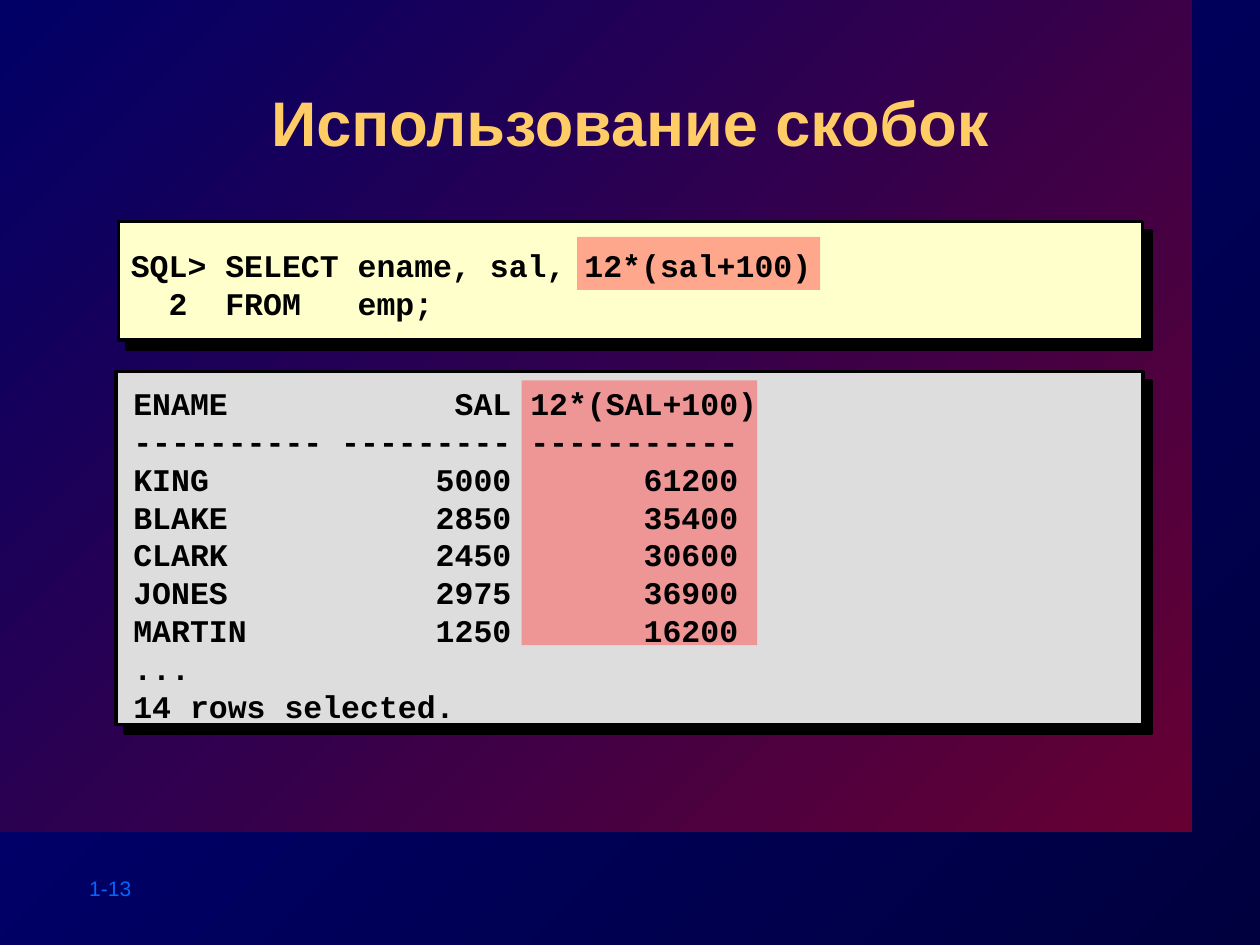
from dataclasses import dataclass

from lxml import etree
from pptx import Presentation
from pptx import util as u
from pptx.dml.color import RGBColor
from pptx.enum import shapes, text
from pptx.oxml.ns import qn

BLACK = RGBColor(0x00, 0x00, 0x00)
GOLD = RGBColor(0xFF, 0xCC, 0x66)
BLUE = RGBColor(0x00, 0x66, 0xFF)
CREAM = RGBColor(0xFF, 0xFF, 0xCC)
GRAY = RGBColor(0xDD, 0xDD, 0xDD)
RED = RGBColor(0xFF, 0x50, 0x50)
NIGHT = RGBColor(0x00, 0x00, 0x3F)
NAVY = RGBColor(0x00, 0x00, 0x80)
WINE = RGBColor(0x66, 0x00, 0x33)
INDIGO = RGBColor(0x00, 0x00, 0x66)

QUERY = ["SQL> SELECT ename, sal, 12*(sal+100)", "  2  FROM   emp;"]
EMPLOYEES = [
    ("KING", 5000, 61200),
    ("BLAKE", 2850, 35400),
    ("CLARK", 2450, 30600),
    ("JONES", 2975, 36900),
    ("MARTIN", 1250, 16200),
]
RESULT = [
    "ENAME            SAL 12*(SAL+100)",
    "---------- --------- -----------",
    *(f"{name:<10} {salary:>9} {total:>11}" for name, salary, total in EMPLOYEES),
    "...",
    "14 rows selected.",
]


@dataclass(frozen=True)
class Box:
    left: float
    top: float
    width: float
    height: float

    def lengths(self) -> list[u.Length]:
        return [u.Inches(n) for n in (self.left, self.top, self.width, self.height)]


@dataclass(frozen=True)
class Style:
    font: str
    size: float
    color: RGBColor
    bold: bool = True
    line_height: float | None = None


TITLE = Style("Arial", 36, GOLD)
FOOTER = Style("Arial", 12, BLUE, bold=False)
CODE = Style("Courier New", 18, BLACK, line_height=21.6)


def set_gradient(fill, start: RGBColor, end: RGBColor) -> None:
    """Run a gradient from the lower right corner to the upper left."""
    fill.gradient()
    fill.gradient_angle = 135
    for stop, position, color in zip(fill.gradient_stops, (0, 1), (start, end)):
        stop.position = position
        stop.color.rgb = color


def add_hard_shadow(effects, distance: float) -> None:
    shadow = etree.SubElement(effects, qn("a:outerShdw"), blurRad="0",
                              dist=str(u.Pt(distance)), dir="2700000",
                              algn="ctr", rotWithShape="0")
    etree.SubElement(shadow, qn("a:srgbClr"), val=str(BLACK))


def add_rectangle(slide, box: Box):
    shape = slide.shapes.add_shape(shapes.MSO_SHAPE.RECTANGLE, *box.lengths())
    shape.shadow.inherit = False
    shape.line.fill.background()
    return shape


def add_panel(slide, box: Box, color: RGBColor) -> None:
    shape = add_rectangle(slide, box)
    shape.fill.solid()
    shape.fill.fore_color.rgb = color
    shape.line.color.rgb = BLACK
    shape.line.width = u.Pt(2)
    add_hard_shadow(shape._element.spPr.find(qn("a:effectLst")), 7.1)


def add_highlight(slide, box: Box) -> None:
    shape = add_rectangle(slide, box)
    shape.fill.solid()
    shape.fill.fore_color.rgb = RED
    color = shape._element.spPr.find(f"{qn('a:solidFill')}/{qn('a:srgbClr')}")
    etree.SubElement(color, qn("a:alpha"), val="50000")


def add_text(slide, box: Box, lines: list[str], style: Style, inset_top: float,
             anchor=text.MSO_ANCHOR.TOP, align=text.PP_ALIGN.LEFT) -> list:
    """Write one paragraph per line and return the runs."""
    frame = slide.shapes.add_textbox(*box.lengths()).text_frame
    frame.word_wrap = True
    frame.vertical_anchor = anchor
    frame.margin_top = u.Inches(inset_top)
    frame.margin_bottom = u.Inches(0.1 - inset_top)
    runs = []
    for index, line in enumerate(lines):
        paragraph = frame.add_paragraph() if index else frame.paragraphs[0]
        paragraph.alignment = align
        if style.line_height:
            paragraph.line_spacing = u.Pt(style.line_height)
        run = paragraph.add_run()
        run.text = line
        run.font.name = style.font
        run.font.size = u.Pt(style.size)
        run.font.bold = style.bold
        run.font.color.rgb = style.color
        runs.append(run)
    return runs


def add_title(slide, box: Box, title: str) -> None:
    run, = add_text(slide, box, [title], TITLE, 0.1, align=text.PP_ALIGN.CENTER)
    effects = etree.Element(qn("a:effectLst"))
    add_hard_shadow(effects, 3)
    run.font._element.find(qn("a:solidFill")).addnext(effects)


def main() -> None:
    presentation = Presentation()
    presentation.slide_width = u.Inches(10)
    presentation.slide_height = u.Inches(7.5)
    slide = presentation.slides.add_slide(presentation.slide_layouts[6])

    set_gradient(slide.background.fill, NIGHT, NAVY)
    backdrop = add_rectangle(slide, Box(0, 0, 9.46, 6.6))
    set_gradient(backdrop.fill, WINE, INDIGO)
    add_text(slide, Box(0.61, 6.88, 1.11, 0.3), ["1-13"], FOOTER, 0.07)

    add_panel(slide, Box(0.94, 1.76, 8.13, 0.94), CREAM)
    add_panel(slide, Box(0.92, 2.95, 8.15, 2.8), GRAY)
    add_title(slide, Box(1.01, 0.56, 7.98, 0.96), "Использование скобок")
    add_highlight(slide, Box(4.58, 1.88, 1.93, 0.42))
    add_highlight(slide, Box(4.14, 3.02, 1.87, 2.1))
    add_text(slide, Box(0.94, 1.74, 8.16, 0.97), QUERY, CODE, 0.08,
             anchor=text.MSO_ANCHOR.MIDDLE)
    add_text(slide, Box(0.96, 2.97, 8.12, 2.8), RESULT, CODE, 0.08)

    presentation.save("out.pptx")


if __name__ == "__main__":
    main()
